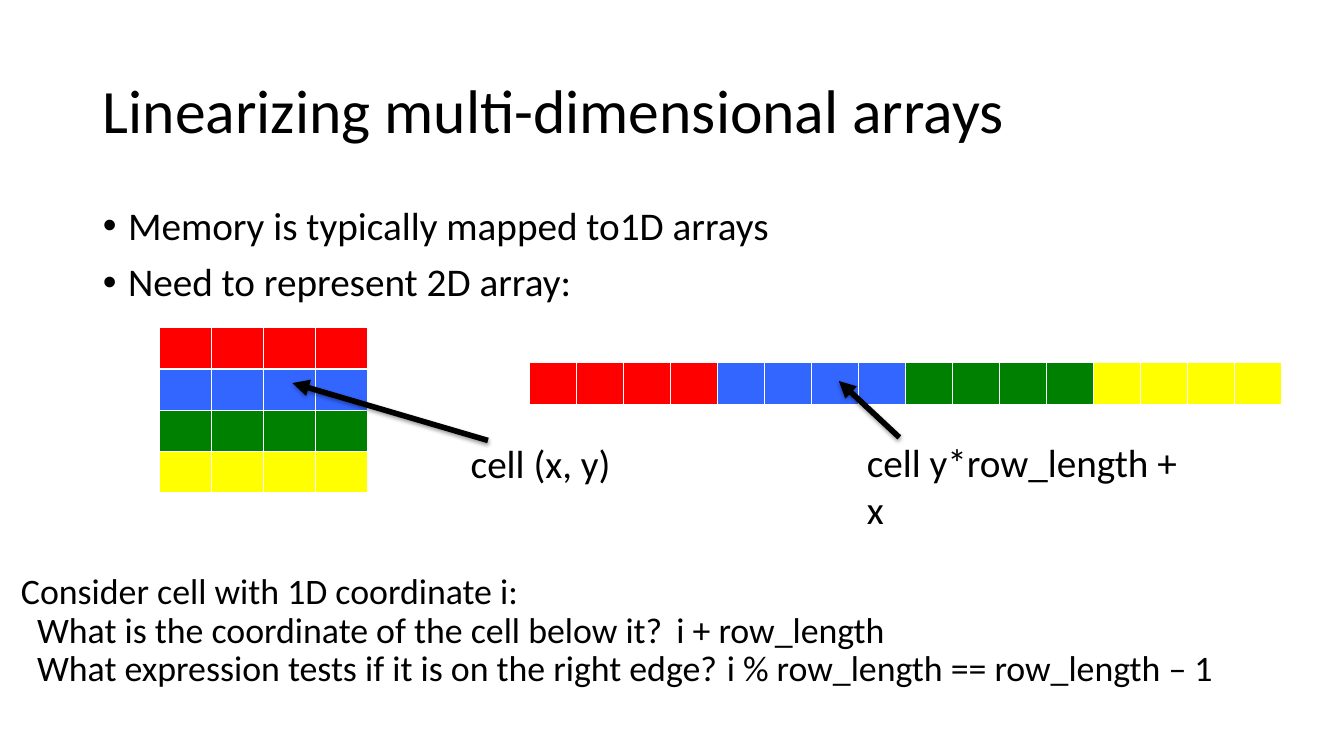
from pptx import Presentation
from pptx.dml.color import RGBColor
from pptx.enum.shapes import MSO_CONNECTOR as Conn
from pptx.enum.text import MSO_ANCHOR as Anchor, MSO_AUTO_SIZE as Auto, PP_ALIGN as Align
from pptx.oxml import parse_xml
from pptx.oxml.ns import nsdecls
from pptx.util import Inches, Pt

BLACK, WHITE = "000000", "FFFFFF"
HUES = ["FF0000", "3366FF", "008000", "FFFF00"]
SIDE = 4
ROW = 0.41
NS = nsdecls("a")


def color(code):
    """Turn a hex string into a colour."""
    return RGBColor.from_string(code)


def place(shape, box):
    """Move a shape to a box of left, top, width, height."""
    shape.left, shape.top, shape.width, shape.height = map(Inches, box)


def write(shape, lines, size, anchor=Anchor.TOP, wrap=True, space=None):
    """Write one run per paragraph and return the paragraphs."""
    frame = shape.text_frame
    frame.auto_size = Auto.NONE
    frame.word_wrap = wrap
    frame.vertical_anchor = anchor
    for num, line in enumerate(lines):
        para = frame.add_paragraph() if num else frame.paragraphs[0]
        para.alignment = Align.LEFT
        if space:
            para.line_spacing = space
        run = para.add_run()
        run.text = line
        font = run.font
        font.name, font.size = "Calibri", Pt(size)
        font.color.rgb = color(BLACK)
    return frame.paragraphs


def label(slide, box, text, wrap):
    """Add the label of an arrow."""
    place_box = slide.shapes.add_textbox(*map(Inches, box))
    write(place_box, [text], 28, wrap=wrap)


def head(slide, box):
    """Fill the title."""
    place(slide.shapes.title, box)
    write(slide.shapes.title, ["Linearizing multi-dimensional arrays"], 44,
          Anchor.MIDDLE, space=0.9)


def points(slide, box):
    """Fill the bullet list."""
    body = slide.placeholders[1]
    place(body, box)
    lines = ["Memory is typically mapped to1D arrays", "Need to represent 2D array:"]
    for para in write(body, lines, 28, space=0.9):
        para.space_before = Pt(10)
        props = para._p.get_or_add_pPr()
        props.set("marL", str(Inches(0.25)))
        props.set("indent", str(Inches(-0.25)))
        props.append(parse_xml(f'<a:buFont {NS} typeface="Arial"/>'))
        props.append(parse_xml(f'<a:buChar {NS} char="•"/>'))


def grid(slide, box, rows, cols):
    """Add a table whose cells, in reading order, change hue every SIDE cells."""
    table = slide.shapes.add_table(rows, cols, *map(Inches, box)).table
    table.first_row = table.horz_banding = False
    for col in table.columns:
        col.width = Inches(box[2] / cols)
    for row in table.rows:
        row.height = Inches(ROW)
    for num, cell in enumerate(table.iter_cells()):
        cell.fill.solid()
        cell.fill.fore_color.rgb = color(HUES[num // SIDE])
        props = cell._tc.get_or_add_tcPr()
        for spot, edge in enumerate("LRTB"):
            props.insert(spot, parse_xml(
                f'<a:ln{edge} {NS} w="{Pt(0.96)}"><a:solidFill>'
                f'<a:srgbClr val="{WHITE}"/></a:solidFill></a:ln{edge}>'))


def arrow(slide, tip, tail):
    """Add a thick shadowed arrow that points at tip."""
    line = slide.shapes.add_connector(Conn.STRAIGHT, *map(Inches, tip + tail))
    line.line.width = Pt(4)
    line.line.color.rgb = color(BLACK)
    line.line._get_or_add_ln().append(parse_xml(f'<a:headEnd {NS} type="triangle"/>'))
    line._element.spPr.append(parse_xml(
        f'<a:effectLst {NS}><a:outerShdw blurRad="{Pt(3.1)}" dist="{Pt(1.6)}" '
        f'dir="5400000" rotWithShape="0"><a:srgbClr val="{BLACK}">'
        '<a:alpha val="38000"/></a:srgbClr></a:outerShdw></a:effectLst>'))


def square(slide, left, top):
    """Show the 2D array with its marked cell."""
    grid(slide, (left, top, 2.07, ROW * SIDE), SIDE, SIDE)
    arrow(slide, (left + 1.32, top + 0.55), (left + 3.26, top + 1.12))
    label(slide, (left + 2.99, top + 1.06, 1.59, 0.56), "cell (x, y)", False)


def strip(slide, left, top):
    """Show the 1D array with its marked cell."""
    grid(slide, (left, top, 7.46, ROW), 1, SIDE * SIDE)
    arrow(slide, (left + 3.07, top + 0.18), (left + 3.67, top + 0.74))
    label(slide, (left + 3.25, top + 0.7, 3.4, 0.56), "cell y*row_length + x", True)


def quiz(slide, box):
    """Add the questions, with each answer at its tab stop."""
    asks = [("What is the coordinate of the cell below it?", "i + row_length", 9),
            ("What expression tests if it is on the right edge?",
             "i % row_length == row_length – 1", 8)]
    lines = ["Consider cell with 1D coordinate i:"]
    lines += [f"{ask}\t{reply}" for ask, reply, _ in asks]
    text = slide.shapes.add_textbox(*map(Inches, box))
    paras = write(text, lines, 25.6, Anchor.MIDDLE, space=0.9)
    for para, (_, _, stop) in zip(paras[1:], asks):
        props = para._p.get_or_add_pPr()
        props.set("marL", "0")
        props.set("indent", str(Inches(0.16)))
        props.append(parse_xml(f'<a:tabLst {NS}><a:tab pos="{Inches(stop)}" algn="l"/></a:tabLst>'))


def main():
    """Build and save the slide."""
    deck = Presentation()
    deck.slide_width, deck.slide_height = Inches(13.33), Inches(7.5)
    slide = deck.slides.add_slide(deck.slide_layouts[1])
    head(slide, (0.92, 0.4, 11.5, 1.45))
    points(slide, (0.92, 2, 11.5, 1.09))
    square(slide, 1.58, 3.25)
    strip(slide, 5.25, 3.6)
    quiz(slide, (0.11, 5.38, 13.12, 1.77))
    deck.save("out.pptx")


main()
